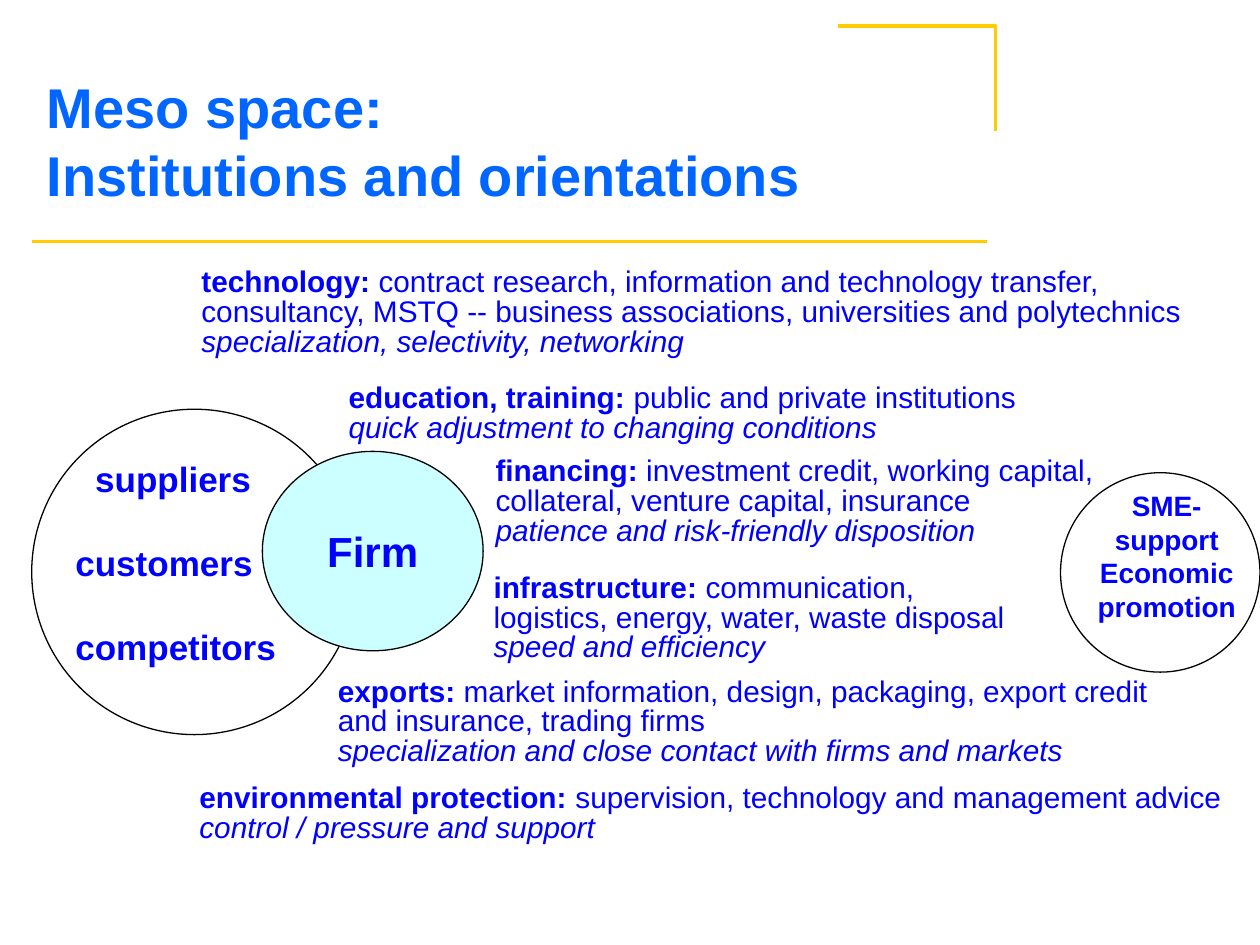
from pptx import Presentation
from pptx.dml.color import RGBColor
from pptx.enum.shapes import MSO_CONNECTOR, MSO_SHAPE
from pptx.enum.text import MSO_ANCHOR, PP_ALIGN
from pptx.oxml.ns import qn
from pptx.util import Cm, Pt
from lxml.etree import SubElement

BLUE = RGBColor(0x00, 0x00, 0xFF)
TITLE_BLUE = RGBColor(0x00, 0x66, 0xFF)
GOLD = RGBColor(0xFF, 0xCC, 0x00)
CYAN = RGBColor(0xCC, 0xFF, 0xFF)
BLACK = RGBColor(0x00, 0x00, 0x00)

STAKEHOLDERS = [("suppliers", 0.4), ("customers", 0), ("competitors", 0)]

NOTES = [
    (3.81, 5.3, 20.75, "technology:",
     " contract research, information and technology transfer, consultancy, "
     "MSTQ -- business associations, universities and polytechnics",
     "specialization, selectivity, networking"),
    (6.78, 7.63, 13.97, "education, training:", " public and private institutions",
     "quick adjustment to changing conditions"),
    (9.74, 9.11, 12.73, "financing:",
     " investment credit, working capital,\ncollateral, venture capital, insurance",
     "patience and risk-friendly disposition"),
    (9.7, 11.46, 10.9, "infrastructure:",
     " communication,\nlogistics, energy, water, waste disposal",
     "speed and efficiency"),
    (6.56, 13.55, 16.94, "exports:",
     " market information, design, packaging, export credit and insurance, trading firms",
     "specialization and close contact with firms and markets"),
    (3.77, 15.69, 21.29, "environmental protection:",
     " supervision, technology and management advice",
     "control / pressure and support"),
]


def write(para, text, size=17, color=BLUE, bold=False, italic=False):
    for index, line in enumerate(text.split("\n")):
        if index:
            para.add_line_break()
        span = para.add_run()
        span.text = line
        font = span.font
        font.name, font.size, font.bold, font.italic = "Arial", Pt(size), bold, italic
        font.color.rgb = color


class SlideBuilder:
    def __init__(self, page):
        self.page = page
        self.shapes = page.shapes

    def title(self, text, left, top, width, height):
        box = self.shapes.title
        box.left, box.top, box.width, box.height = map(Cm, (left, top, width, height))
        frame = box.text_frame
        frame.vertical_anchor = MSO_ANCHOR.MIDDLE
        para = frame.paragraphs[0]
        para.alignment = PP_ALIGN.LEFT
        para.line_spacing = Pt(39)
        write(para, text, size=32, color=TITLE_BLUE, bold=True)

    def rule(self, left, top, right):
        line = self.shapes.add_connector(
            MSO_CONNECTOR.STRAIGHT, Cm(left), Cm(top), Cm(right), Cm(top))
        line.line.color.rgb = GOLD
        line.line.width = Pt(2)
        SubElement(line._element.spPr, qn("a:effectLst"))

    def corner(self, left, top, right, bottom):
        outline = self.shapes.build_freeform(Cm(left), Cm(top))
        outline.add_line_segments(
            [(Cm(right), Cm(top)), (Cm(right), Cm(bottom))], close=False)
        shape = outline.convert_to_shape()
        shape.shadow.inherit = False
        shape.fill.background()
        shape.line.color.rgb = GOLD
        shape.line.width = Pt(2)

    def ellipse(self, left, top, width, height, fill=None):
        shape = self.shapes.add_shape(
            MSO_SHAPE.OVAL, Cm(left), Cm(top), Cm(width), Cm(height))
        shape.shadow.inherit = False
        shape.line.color.rgb = BLACK
        shape.line.width = Pt(0.75)
        if fill is None:
            shape.fill.background()
        else:
            shape.fill.solid()
            shape.fill.fore_color.rgb = fill
        return shape

    def text_frame(self, left, top, width, height, wrap=False):
        box = self.shapes.add_textbox(Cm(left), Cm(top), Cm(width), Cm(height))
        box.text_frame.word_wrap = wrap
        return box.text_frame

    def note(self, left, top, width, heading, body, orientation):
        frame = self.text_frame(left, top, width, 2.06, wrap=True)
        first, last = frame.paragraphs[0], frame.add_paragraph()
        first.line_spacing = last.line_spacing = Pt(17)
        write(first, heading, bold=True)
        write(first, body)
        write(last, orientation, italic=True)

    def stakeholders(self, left, top, width, height, entries):
        frame = self.text_frame(left, top, width, height)
        for index, (name, indent) in enumerate(entries):
            para = frame.add_paragraph() if index else frame.paragraphs[0]
            para.line_spacing = Pt(24)
            para.space_before = Pt(24 if index else 0)
            para._p.get_or_add_pPr().set("marL", str(Cm(indent)))
            write(para, name, size=20, bold=True)

    def label(self, frame, text, size, spacing=None):
        frame.word_wrap = False
        para = frame.paragraphs[0]
        para.alignment = PP_ALIGN.CENTER
        para.line_spacing = spacing
        write(para, text, size=size, bold=True)


def main():
    deck = Presentation()
    deck.slide_width, deck.slide_height = Cm(25.4), Cm(19.05)
    page = SlideBuilder(deck.slides.add_slide(deck.slide_layouts[5]))

    page.rule(0.64, 4.87, 19.89)
    page.corner(16.89, 0.53, 20.07, 2.64)
    page.title("Meso space:\nInstitutions and orientations", 0.69, 0.91, 19, 3.81)

    page.ellipse(0.64, 8.25, 6.56, 6.56)
    firm = page.ellipse(5.29, 9.1, 4.45, 4.02, fill=CYAN)
    firm.text_frame.vertical_anchor = MSO_ANCHOR.MIDDLE
    page.label(firm.text_frame, "Firm", 24)
    page.stakeholders(1.27, 9.1, 4.7, 4.5, STAKEHOLDERS)

    for note in NOTES:
        page.note(*note)

    page.ellipse(21.38, 9.53, 4.02, 4.02)
    support = page.text_frame(21.67, 9.73, 3.7, 2.97)
    page.label(support, "SME-\nsupport\nEconomic\npromotion", 16, spacing=Pt(19.2))

    deck.save("out.pptx")


if __name__ == "__main__":
    main()
